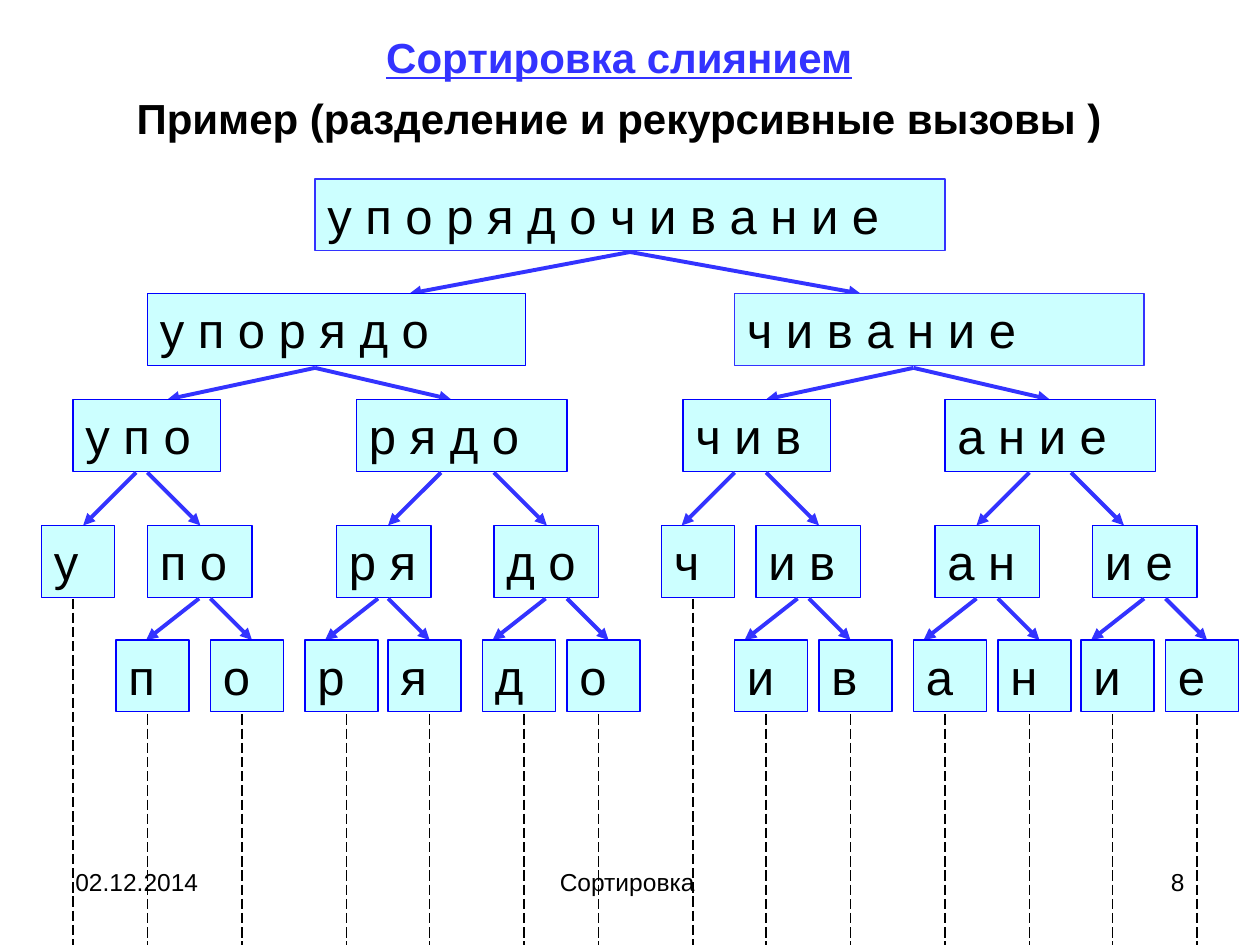
from lxml import etree
from pptx import Presentation
from pptx.dml.color import RGBColor
from pptx.enum.dml import MSO_LINE
from pptx.enum.shapes import MSO_CONNECTOR, MSO_SHAPE
from pptx.enum.text import MSO_ANCHOR, MSO_AUTO_SIZE, PP_ALIGN
from pptx.oxml.ns import qn
from pptx.util import Inches, Pt

RECTANGLE, STRAIGHT = MSO_SHAPE.RECTANGLE, MSO_CONNECTOR.STRAIGHT
LEFT, CENTER, RIGHT = PP_ALIGN.LEFT, PP_ALIGN.CENTER, PP_ALIGN.RIGHT
TOP, FIT_SHAPE, NO_FIT = MSO_ANCHOR.TOP, MSO_AUTO_SIZE.SHAPE_TO_FIT_TEXT, MSO_AUTO_SIZE.NONE
LONG_DASH = MSO_LINE.LONG_DASH

THEME = {
    "font": "Arial",
    "title_size": 24, "node_size": 28, "footer_size": 14,
    "text": "000000", "accent": "3333FF", "border": "0000FF", "fill": "CCFFFF",
    "thin": 0.75, "thick": 2.25,
}

# Content
HEADING = ["Сортировка слиянием", "Пример (разделение и рекурсивные вызовы )"]
FOOTERS = [  # text, left, width, alignment
    ("02.12.2014", 0.5, 2.33, LEFT),
    ("Сортировка ", 3.42, 3.17, CENTER),
    ("8", 7.17, 2.33, RIGHT),
]
LEVELS = [  # top, arrow start, horizontal reach of left and right arrows,
    # nodes: word, left, width, x where the left and right arrows start
    (1.42, 2, (-1.75, 1.83), [("упорядочивание", 2.5, 5, (5, 5))]),
    (2.33, 2.92, (-1.17, 1.08), [
        ("упорядо", 1.17, 3, (2.5, 2.5)), ("чивание", 5.83, 3.25, (7.25, 7.25))]),
    (3.17, 3.75, (-0.42, 0.42), [
        ("упо", 0.58, 1.17, (1.08, 1.17)), ("рядо", 2.83, 1.67, (3.5, 3.92)),
        ("чив", 5.42, 1.17, (5.83, 6.08)), ("ание", 7.5, 1.67, (8.17, 8.5))]),
    (4.17, 4.75, (-0.42, 0.33), [
        ("по", 1.17, 0.83, (1.58, 1.67)), ("ря", 2.67, 0.75, (3, 3.08)),
        ("до", 3.92, 0.83, (4.33, 4.5)), ("ив", 6, 0.83, (6.33, 6.42)),
        ("ан", 7.42, 0.83, (7.75, 7.92)), ("ие", 8.67, 0.83, (9.08, 9.25))]),
]
LEAVES = [  # top, dashed line start, leaves: letter, left, dashed line offset
    (4.17, 4.75, [("у", 0.33, 0.25), ("ч", 5.25, 0.25)]),
    (5.08, 5.67, [
        ("п", 0.92, 0.25), ("о", 1.67, 0.25), ("р", 2.42, 0.33), ("я", 3.08, 0.33),
        ("д", 3.83, 0.33), ("о", 4.5, 0.25), ("и", 5.83, 0.25), ("в", 6.5, 0.25),
        ("а", 7.25, 0.25), ("н", 7.92, 0.25), ("и", 8.58, 0.25), ("е", 9.25, 0.25)]),
]
ACCENT_WORDS = ("упорядочивание", "чивание")
NODE_HEIGHT, LEAF_WIDTH, PAGE_BOTTOM = 0.57, 0.58, 7.5


def color(name):
    return RGBColor.from_string(THEME[name])


def format_text(para, size, color_name="text", align=LEFT, bold=False, underline=False):
    para.alignment = align
    for span in para.runs:
        font = span.font
        font.name, font.size = THEME["font"], Pt(THEME[size])
        font.bold, font.underline = bold, underline
        font.color.rgb = color(color_name)


def add_node(page, word, left, top, width):
    box = page.shapes.add_shape(
        RECTANGLE, Inches(left), Inches(top), Inches(width), Inches(NODE_HEIGHT))
    box.shadow.inherit = False
    box.fill.solid()
    box.fill.fore_color.rgb = color("fill")
    box.line.color.rgb = color("accent" if word in ACCENT_WORDS else "border")
    box.line.width = Pt(THEME["thin"])
    frame = box.text_frame
    frame.text = " ".join(word)
    frame.word_wrap, frame.auto_size = True, FIT_SHAPE
    frame.vertical_anchor = TOP
    format_text(frame.paragraphs[0], "node_size")


def add_line(page, start, end, color_name, weight):
    line = page.shapes.add_connector(STRAIGHT, *(Inches(value) for value in start + end))
    line.line.color.rgb = color(color_name)
    line.line.width = Pt(THEME[weight])
    etree.SubElement(line._element.spPr, qn("a:effectLst"))
    return line


def add_arrow(page, start, end):
    arrow = add_line(page, start, end, "accent", "thick")
    etree.SubElement(arrow.line._get_or_add_ln(), qn("a:tailEnd"), type="triangle")


def add_heading(page):
    title = page.shapes.title
    title.left, title.top = Inches(0), Inches(0.17)
    title.width, title.height = Inches(9.83), Inches(1.08)
    frame = title.text_frame
    frame.text = "\n".join(HEADING)
    frame.auto_size, frame.vertical_anchor = NO_FIT, TOP
    frame.margin_top = Inches(0.08)
    for para in frame.paragraphs:
        para.space_before = Pt(6)
    first, second = frame.paragraphs
    format_text(first, "title_size", "accent", CENTER, bold=True, underline=True)
    format_text(second, "title_size", "text", CENTER, bold=True)


def add_footers(page):
    for text, left, width, align in FOOTERS:
        box = page.shapes.add_textbox(Inches(left), Inches(6.83), Inches(width), Inches(0.52))
        box.text_frame.word_wrap = True
        box.text_frame.text = text
        format_text(box.text_frame.paragraphs[0], "footer_size", align=align)


def main():
    deck = Presentation()
    deck.slide_width, deck.slide_height = Inches(10), Inches(7.5)
    page = deck.slides.add_slide(deck.slide_layouts[5])
    add_heading(page)
    add_footers(page)

    # Words that split, with an arrow to each half
    next_tops = [level[0] for level in LEVELS[1:]] + [LEAVES[-1][0]]
    for (top, arrow_y, reaches, nodes), next_top in zip(LEVELS, next_tops):
        for word, left, width, starts in nodes:
            add_node(page, word, left, top, width)
            for x, reach in zip(starts, reaches):
                add_arrow(page, (x, arrow_y), (x + reach, next_top))

    # Single letters, with dashed lines down to the page bottom
    for top, line_y, leaves in LEAVES:
        for letter, left, offset in leaves:
            add_node(page, letter, left, top, LEAF_WIDTH)
            x = left + offset
            drop = add_line(page, (x, line_y), (x, PAGE_BOTTOM), "text", "thin")
            drop.line.dash_style = LONG_DASH

    deck.save("out.pptx")


if __name__ == "__main__":
    main()
